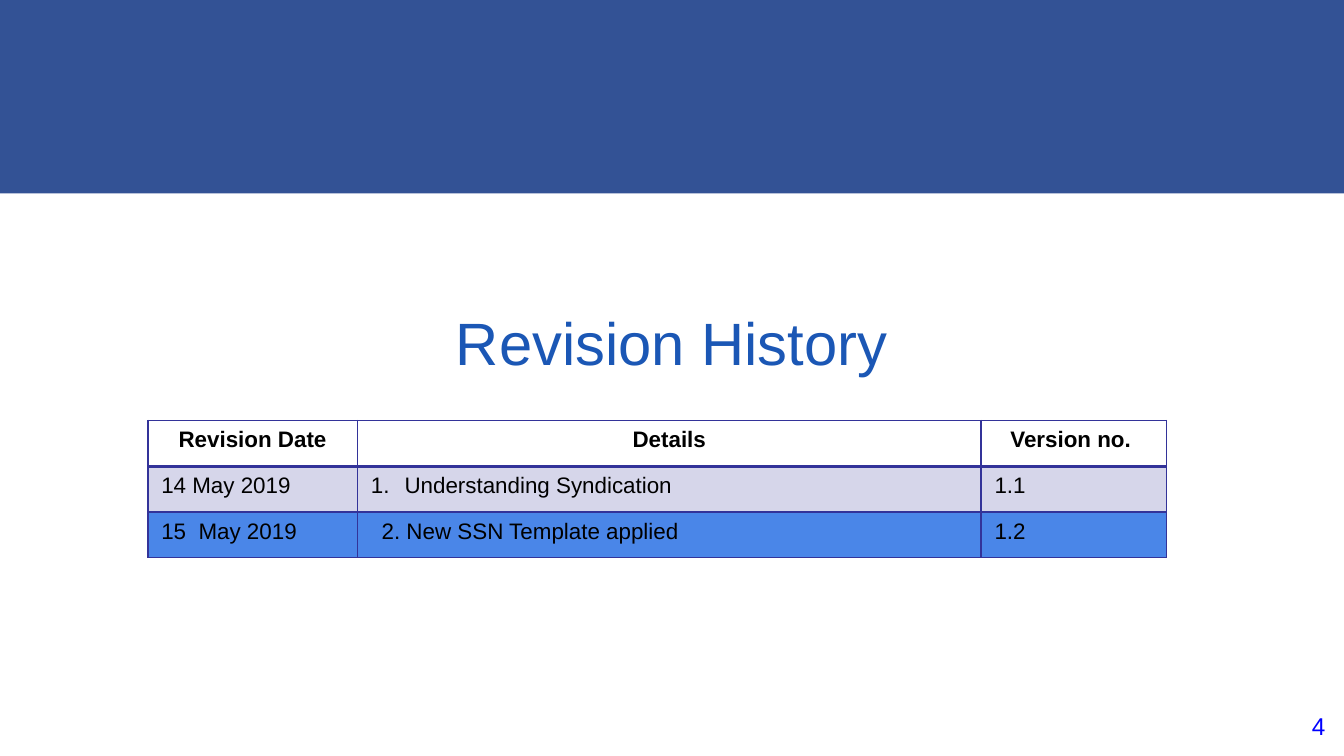
from dataclasses import dataclass

from lxml.etree import SubElement
from pptx import Presentation
from pptx.dml.color import RGBColor
from pptx.enum.shapes import MSO_SHAPE
from pptx.enum.text import MSO_ANCHOR, PP_ALIGN
from pptx.oxml.ns import qn
from pptx.util import Inches, Pt

SLIDE_W = 10
SLIDE_H = SLIDE_W * 9 / 16


@dataclass(frozen=True)
class Theme:
    """Colours, font and type sizes of the slide."""
    font: str = "Arial"
    band: str = "335295"
    title: str = "1B57B5"
    number: str = "0000FF"
    ink: str = "000000"
    rule: str = "333399"
    accent: str = "4A86E8"
    title_size: int = 32
    number_size: int = 13
    table_size: int = 12


@dataclass(frozen=True)
class Box:
    """A rectangle in shares of the slide's width and height."""
    x: float
    y: float
    w: float
    h: float

    def emu(self) -> tuple:
        """Return left, top, width and height as lengths."""
        return tuple(Inches(v * side) for v, side in
                     zip((self.x, self.y, self.w, self.h), (SLIDE_W, SLIDE_H) * 2))


@dataclass(frozen=True)
class Entry:
    """The text of one cell with its indent and numbering."""
    text: str
    indent: float = 0
    numbered: bool = False


@dataclass(frozen=True)
class Row:
    """One table row with its fill, opacity in percent and bottom rule."""
    entries: tuple
    fill: str = ""
    opacity: int = 100
    bottom: int = 1
    header: bool = False


THEME = Theme()
COLUMNS = (1.56, 4.64, 1.38)
ROW_H = 0.34
ROWS = (
    Row((Entry("Revision Date"), Entry("Details"), Entry("Version no. ")),
        bottom=2, header=True),
    Row((Entry("14 May 2019"),
         Entry("Understanding Syndication", 0.25, True), Entry("1.1")),
        THEME.rule, 20),
    Row((Entry("15  May 2019"),
         Entry("2. New SSN Template applied", 0.08), Entry("1.2")),
        THEME.accent),
)


def write(p, text: str, size: int, color: str, align, bold: bool = False) -> None:
    """Add one formatted run to a paragraph."""
    p.alignment = align
    r = p.add_run()
    r.text = text
    formats = {"name": THEME.font, "size": Pt(size), "bold": bold}
    for name, value in formats.items():
        setattr(r.font, name, value)
    r.font.color.rgb = RGBColor.from_string(color)


def add_text(s, box: Box, text: str, size: int, color: str, align, anchor, pad: float) -> None:
    """Add a text box with one line."""
    tf = s.shapes.add_textbox(*box.emu()).text_frame
    formats = {"word_wrap": True, "vertical_anchor": anchor,
               "margin_top": Inches(pad), "margin_bottom": Inches(pad)}
    for name, value in formats.items():
        setattr(tf, name, value)
    write(tf.paragraphs[0], text, size, color, align)


def add_color(parent, color: str):
    """Add a solid fill to an XML element and return its colour."""
    fill = SubElement(parent, qn("a:solidFill"))
    return SubElement(fill, qn("a:srgbClr"), val=color)


def style_cell(cell, row: Row, above: int) -> None:
    """Draw the borders and the fill of a cell."""
    tcPr = cell._tc.get_or_add_tcPr()
    for side, width in {"L": 1, "R": 1, "T": above, "B": row.bottom}.items():
        add_color(SubElement(tcPr, qn(f"a:ln{side}"), w=str(Pt(width))), THEME.rule)
    if row.fill:
        clr = add_color(tcPr, row.fill)
        if row.opacity < 100:
            SubElement(clr, qn("a:alpha"), val=str(row.opacity * 1000))
    else:
        cell.fill.background()


def indent_paragraph(p, entry: Entry) -> None:
    """Set the left indent and automatic number of a paragraph."""
    pPr = p._p.get_or_add_pPr()
    pPr.set("marL", str(Inches(entry.indent)))
    pPr.set("indent", str(Inches(-entry.indent if entry.numbered else 0)))
    if entry.numbered:
        clr = SubElement(pPr, qn("a:buClr"))
        SubElement(clr, qn("a:srgbClr"), val=THEME.ink)
        SubElement(pPr, qn("a:buFont"), typeface=THEME.font)
        SubElement(pPr, qn("a:buAutoNum"), type="arabicPeriod")


def add_history(s, x: float, y: float) -> None:
    """Add the revision table at a share of the slide."""
    box = Box(x, y, sum(COLUMNS) / SLIDE_W, len(ROWS) * ROW_H / SLIDE_H)
    table = s.shapes.add_table(len(ROWS), len(COLUMNS), *box.emu()).table
    for name in ("first_row", "horz_banding"):
        setattr(table, name, False)
    for column, width in zip(table.columns, COLUMNS):
        column.width = Inches(width)
    above = 1
    for i, row in enumerate(ROWS):
        table.rows[i].height = Inches(ROW_H)
        align = PP_ALIGN.CENTER if row.header else PP_ALIGN.LEFT
        for cell, entry in zip(table.rows[i].cells, row.entries):
            style_cell(cell, row, above)
            p = cell.text_frame.paragraphs[0]
            write(p, entry.text, THEME.table_size, THEME.ink, align, row.header)
            indent_paragraph(p, entry)
        above = row.bottom


def add_band(s, box: Box) -> None:
    """Add the coloured band at the top."""
    sp = s.shapes.add_shape(MSO_SHAPE.RECTANGLE, *box.emu())
    sp.shadow.inherit = False
    sp.fill.solid()
    sp.fill.fore_color.rgb = RGBColor.from_string(THEME.band)
    sp.line.fill.background()


def main() -> None:
    """Build the slide and save it."""
    prs = Presentation()
    prs.slide_width, prs.slide_height = Inches(SLIDE_W), Inches(SLIDE_H)
    s = prs.slides.add_slide(prs.slide_layouts[6])
    add_band(s, Box(0, 0, 1, 1.44 / SLIDE_H))
    add_text(s, Box(0.936, 5.19 / SLIDE_H, 0.06, 0.43 / SLIDE_H), "4",
             THEME.number_size, THEME.number, PP_ALIGN.RIGHT, MSO_ANCHOR.TOP, 0.1)
    add_text(s, Box(0.05, 2.11 / SLIDE_H, 0.9, 0.87 / SLIDE_H), "Revision History",
             THEME.title_size, THEME.title, PP_ALIGN.CENTER, MSO_ANCHOR.MIDDLE, 0.05)
    add_history(s, 0.11, 3.13 / SLIDE_H)
    prs.save("out.pptx")


if __name__ == "__main__":
    main()
